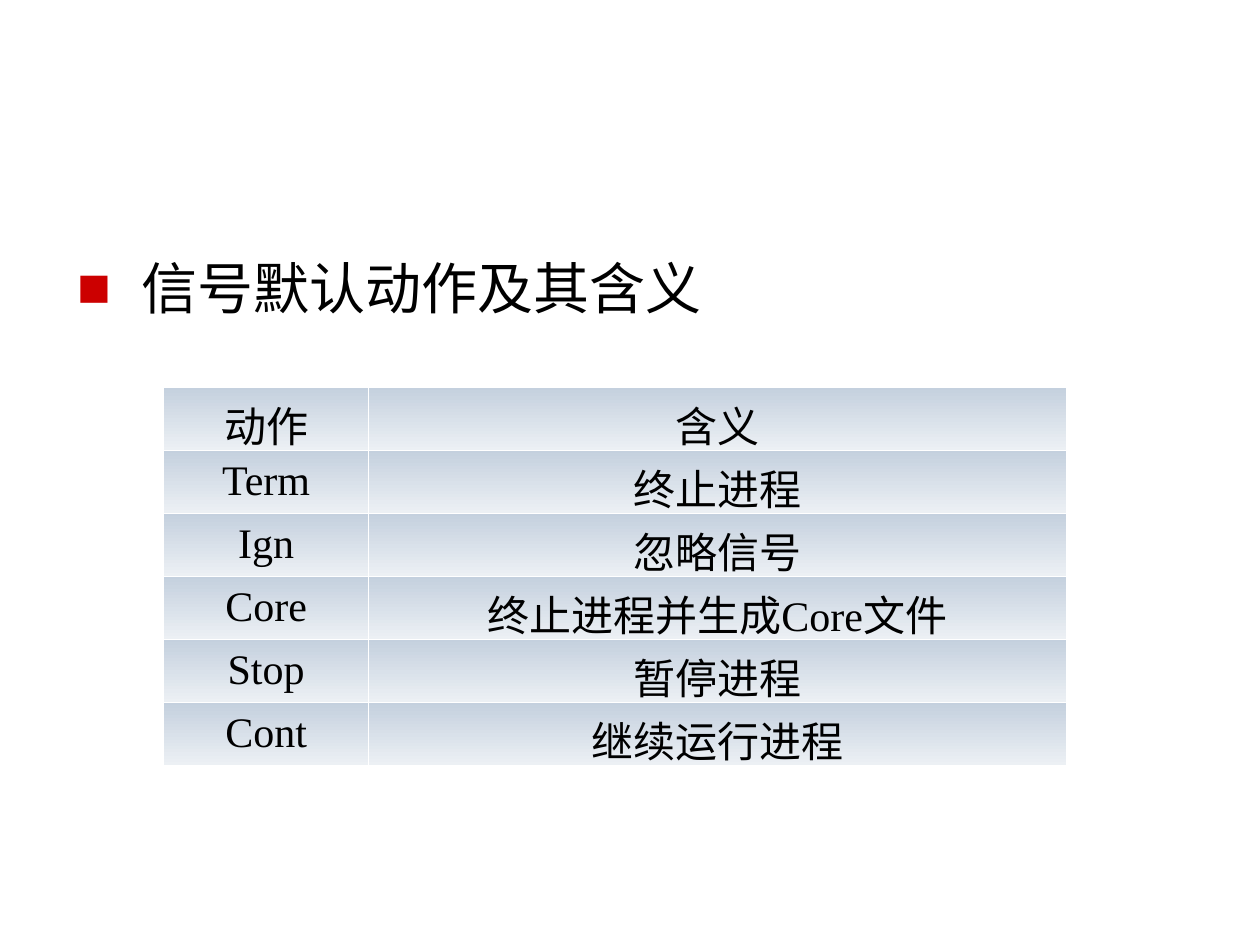
from lxml.etree import SubElement
from pptx import Presentation
from pptx.dml.color import RGBColor
from pptx.enum.text import MSO_ANCHOR, PP_ALIGN
from pptx.oxml.ns import qn
from pptx.util import Cm, Pt

# Content
HEADING = "信号默认动作及其含义"
ACTIONS = [
    ("动作", "含义"),
    ("Term", "终止进程"),
    ("Ign", "忽略信号"),
    ("Core", "终止进程并生成Core文件"),
    ("Stop", "暂停进程"),
    ("Cont", "继续运行进程"),
]

THEME = {
    "latin": "Times New Roman", "chinese": "Calibri",
    "heading_size": 32, "cell_size": 24,
    "ink": "000000", "bullet": "CC0000", "border": "FFFFFF",
    "gradient": ("C4D0DE", "ECF0F4"),
}
COLUMN_WIDTHS = (4.13, 14.06)
ROW_HEIGHT = 1.27
SIDE_INSET, EDGE_INSET = 0.18, 0.13
# Chinese lines are taller than the row, so they may run past its lower edge
CHINESE_BOTTOM_INSET = -0.09


def write_text(paragraph, text, *, size, font, align=PP_ALIGN.LEFT):
    run = paragraph.add_run()
    run.text = text
    run.font.size = Pt(size)
    run.font.name = font
    run.font.color.rgb = RGBColor.from_string(THEME["ink"])
    paragraph.alignment = align


def split_scripts(text):
    """Split text into stretches of ASCII and of Chinese characters."""
    stretches = []
    for char in text:
        if stretches and stretches[-1][-1].isascii() == char.isascii():
            stretches[-1] += char
        else:
            stretches.append(char)
    return stretches


def set_bullet(paragraph, symbol, color, indent):
    properties = paragraph._p.get_or_add_pPr()
    properties.set("marL", str(indent))
    properties.set("indent", str(-indent))
    bullet_color = SubElement(properties, qn("a:buClr"))
    SubElement(bullet_color, qn("a:srgbClr"), val=color)
    SubElement(properties, qn("a:buChar"), char=symbol)


def set_insets(cell, text):
    cell.margin_left = cell.margin_right = Cm(SIDE_INSET)
    cell.margin_top = Cm(EDGE_INSET)
    cell.margin_bottom = Cm(EDGE_INSET if text.isascii() else CHINESE_BOTTOM_INSET)


def set_borders(cell, color, width):
    properties = cell._tc.get_or_add_tcPr()
    for position, side in enumerate(("a:lnL", "a:lnR", "a:lnT", "a:lnB")):
        line = properties.makeelement(qn(side), {"w": str(width)})
        fill = SubElement(line, qn("a:solidFill"))
        SubElement(fill, qn("a:srgbClr"), val=color)
        properties.insert(position, line)


def fill_gradient(cell, colors):
    cell.fill.gradient()
    cell.fill.gradient_angle = 270
    for stop, color in zip(cell.fill.gradient_stops, colors):
        stop.color.rgb = RGBColor.from_string(color)


def add_heading(slide):
    body = slide.placeholders[1]
    body.left, body.top, body.width, body.height = map(Cm, (1.3, 3.53, 22.22, 13.2))
    frame = body.text_frame
    frame.vertical_anchor = MSO_ANCHOR.TOP
    frame.margin_top = Cm(1.58)
    paragraph = frame.paragraphs[0]
    paragraph.space_before = Pt(0)
    write_text(paragraph, HEADING, size=THEME["heading_size"], font=THEME["latin"])
    set_bullet(paragraph, "■", THEME["bullet"], Cm(1.3))


def add_actions(slide):
    table = slide.shapes.add_table(
        len(ACTIONS), len(COLUMN_WIDTHS), Cm(3.3), Cm(7.8),
        Cm(sum(COLUMN_WIDTHS)), Cm(ROW_HEIGHT * len(ACTIONS))).table
    table.first_row = table.horz_banding = False
    for column, width in zip(table.columns, COLUMN_WIDTHS):
        column.width = Cm(width)
    for row, texts in zip(table.rows, ACTIONS):
        row.height = Cm(ROW_HEIGHT)
        for cell, text in zip(row.cells, texts):
            cell.vertical_anchor = MSO_ANCHOR.MIDDLE
            set_insets(cell, text)
            for stretch in split_scripts(text):
                font = THEME["latin" if stretch.isascii() else "chinese"]
                write_text(cell.text_frame.paragraphs[0], stretch, font=font,
                           size=THEME["cell_size"], align=PP_ALIGN.CENTER)
            fill_gradient(cell, THEME["gradient"])
            set_borders(cell, THEME["border"], Pt(0.45))


def main():
    presentation = Presentation()
    presentation.slide_width, presentation.slide_height = Cm(25.4), Cm(19.05)
    slide = presentation.slides.add_slide(presentation.slide_layouts[1])
    # The slide shows no title
    title = slide.shapes.title._element
    title.getparent().remove(title)
    add_heading(slide)
    add_actions(slide)
    presentation.save("out.pptx")


if __name__ == "__main__":
    main()
